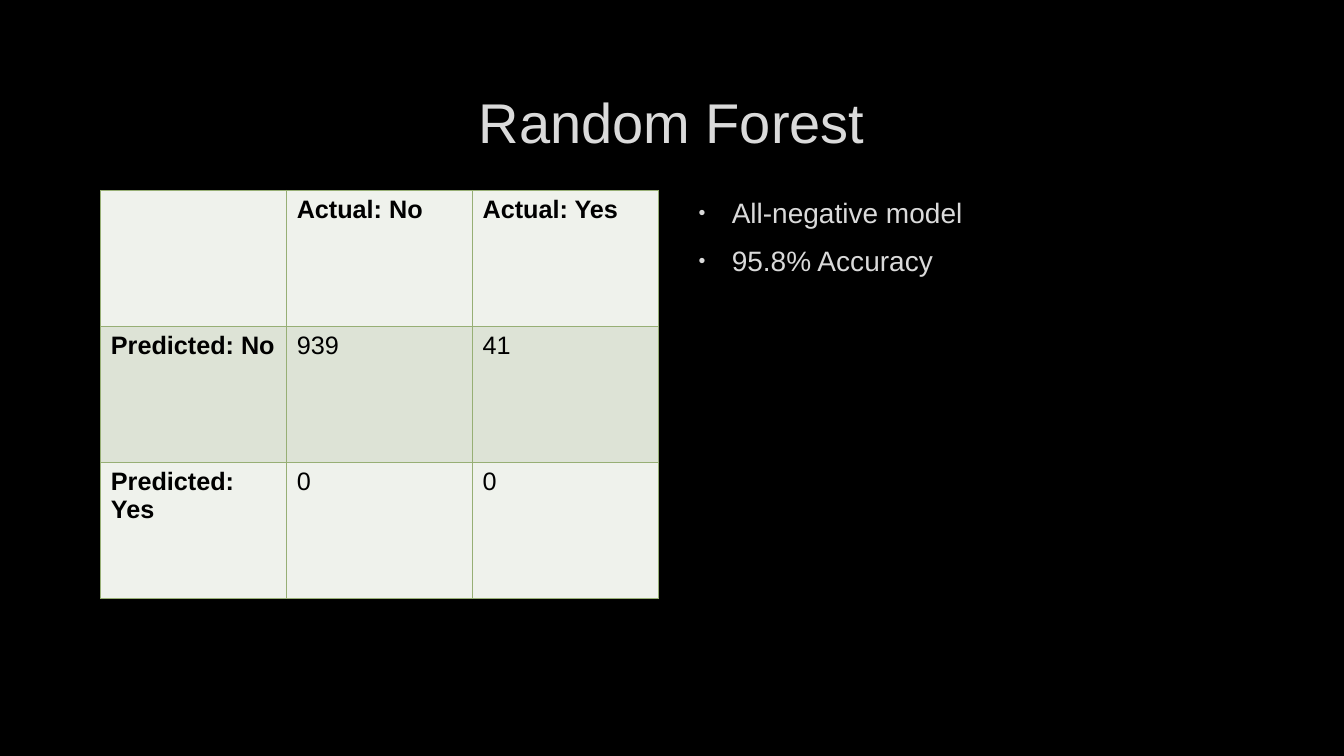
from lxml.etree import SubElement
from pptx import Presentation
from pptx.dml.color import RGBColor
from pptx.enum.text import MSO_ANCHOR, PP_ALIGN
from pptx.oxml.ns import qn
from pptx.util import Inches, Pt

COLOURS = {
    "background": "000000",
    "light text": "DADADA",
    "dark text": "000000",
    "border": "97AF75",
    "pale band": "EFF2EC",
    "green band": "DDE3D6",
}
LEFT, CONTENT_TOP, CONTENT_HEIGHT = 1, 1.89, 4.05
CONTENT_WIDTH, COLUMN_WIDTH, GUTTER = 11.32, 5.53, 0.25
MATRIX = [
    ["", "Actual: No", "Actual: Yes"],
    ["Predicted: No", "939", "41"],
    ["Predicted: Yes", "0", "0"],
]
FINDINGS = ["All-negative model", "95.8% Accuracy"]


def colour(name):
    """Return the named colour."""
    return RGBColor.from_string(COLOURS[name])


def apply(target, values):
    """Set each attribute in values on the target."""
    for name, value in values.items():
        setattr(target, name, value)


def write(para, text, size, colour_name, bold=False):
    """Add one formatted span to a paragraph."""
    span = para.add_run()
    span.text = text
    apply(span.font, {"name": "Arial", "size": Pt(size), "bold": bold})
    span.font.color.rgb = colour(colour_name)


def add_title(page, text):
    """Place and fill the title placeholder."""
    box = page.shapes.title
    apply(box, {"left": Inches(LEFT), "top": Inches(0.67),
                "width": Inches(CONTENT_WIDTH), "height": Inches(1.06)})
    apply(box.text_frame, {"vertical_anchor": MSO_ANCHOR.MIDDLE, "word_wrap": True})
    para = box.text_frame.paragraphs[0]
    para.alignment = PP_ALIGN.CENTER
    write(para, text, 40, "light text")


def add_borders(cell):
    """Draw a thin line on all four sides of a cell."""
    properties = cell._tc.get_or_add_tcPr()
    for side in ("lnL", "lnR", "lnT", "lnB"):
        line = SubElement(properties, qn(f"a:{side}"), w=str(Pt(1)))
        fill = SubElement(line, qn("a:solidFill"))
        SubElement(fill, qn("a:srgbClr"), val=COLOURS["border"])


def add_matrix(page, rows):
    """Add the confusion matrix with banded rows and bold headings."""
    table = page.shapes.add_table(
        len(rows), len(rows[0]), Inches(LEFT), Inches(CONTENT_TOP),
        Inches(COLUMN_WIDTH), Inches(CONTENT_HEIGHT)).table
    apply(table, {"first_row": False, "horz_banding": False})
    for row, texts in enumerate(rows):
        for column, text in enumerate(texts):
            cell = table.cell(row, column)
            add_borders(cell)
            cell.fill.solid()
            cell.fill.fore_color.rgb = colour("green band" if row % 2 else "pale band")
            if text:
                heading = row == 0 or column == 0
                write(cell.text_frame.paragraphs[0], text, 18, "dark text", heading)


def add_bullet(para):
    """Give a paragraph a hanging bullet."""
    properties = para._p.get_or_add_pPr()
    properties.set("marL", str(Inches(0.38)))
    properties.set("indent", str(Inches(-0.33)))
    tint = SubElement(properties, qn("a:buClr"))
    SubElement(tint, qn("a:srgbClr"), val=COLOURS["light text"])
    SubElement(properties, qn("a:buSzPct"), val="70000")
    SubElement(properties, qn("a:buFont"), typeface="Arial")
    SubElement(properties, qn("a:buChar"), char="•")


def add_findings(page, texts):
    """Add the bulleted list beside the matrix."""
    box = page.shapes.add_textbox(
        Inches(LEFT + COLUMN_WIDTH + GUTTER), Inches(CONTENT_TOP),
        Inches(COLUMN_WIDTH), Inches(CONTENT_HEIGHT))
    frame = box.text_frame
    frame.word_wrap = True
    for index, text in enumerate(texts):
        para = frame.add_paragraph() if index else frame.paragraphs[0]
        apply(para, {"space_before": Pt(4.6), "space_after": Pt(6)})
        add_bullet(para)
        write(para, text, 20, "light text")


def main():
    """Build and save the slide."""
    deck = Presentation()
    apply(deck, {"slide_width": Inches(13.33), "slide_height": Inches(7.5)})
    page = deck.slides.add_slide(deck.slide_layouts.get_by_name("Title Only"))
    page.background.fill.solid()
    page.background.fill.fore_color.rgb = colour("background")
    add_title(page, "Random Forest")
    add_matrix(page, MATRIX)
    add_findings(page, FINDINGS)
    deck.save("out.pptx")


if __name__ == "__main__":
    main()
